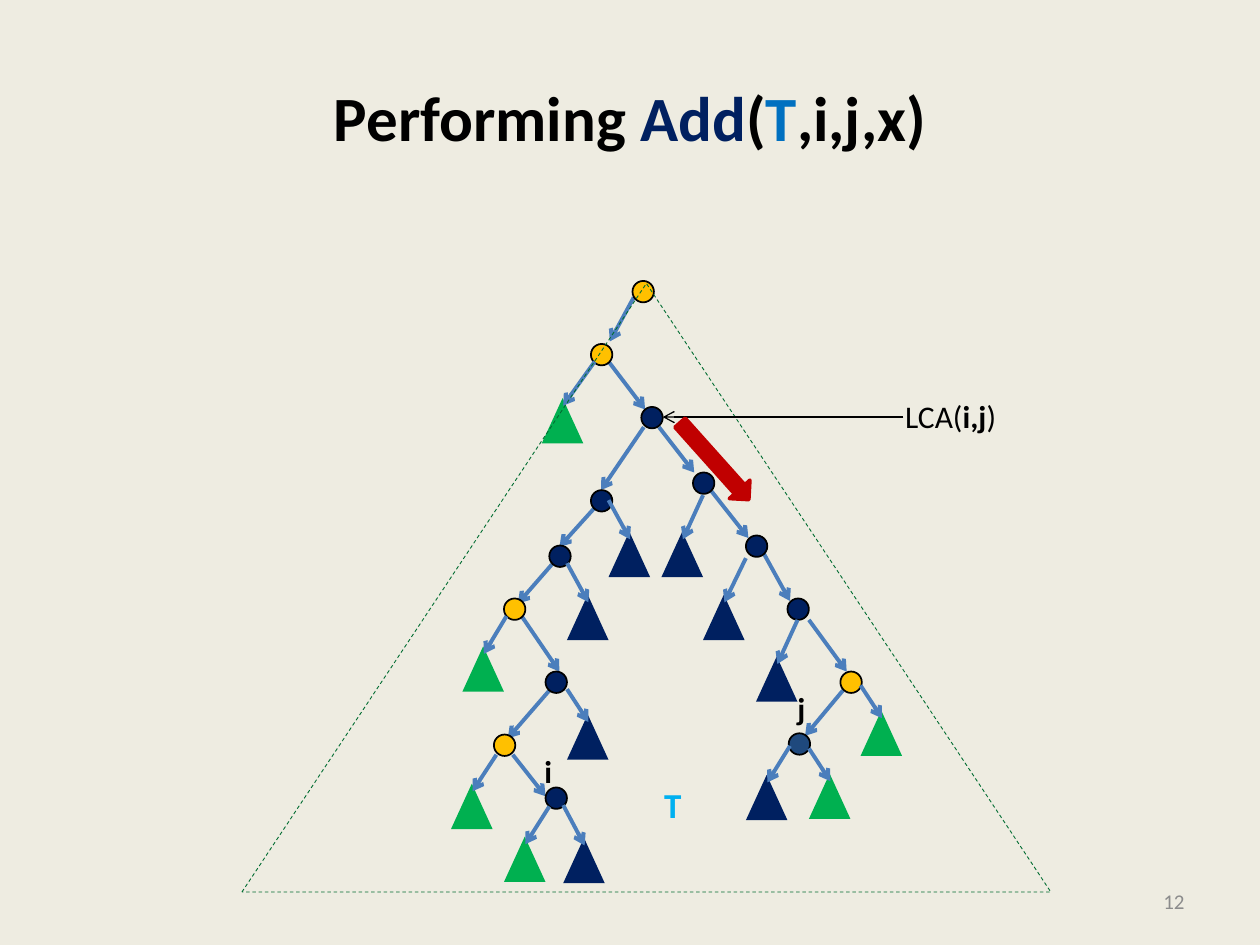
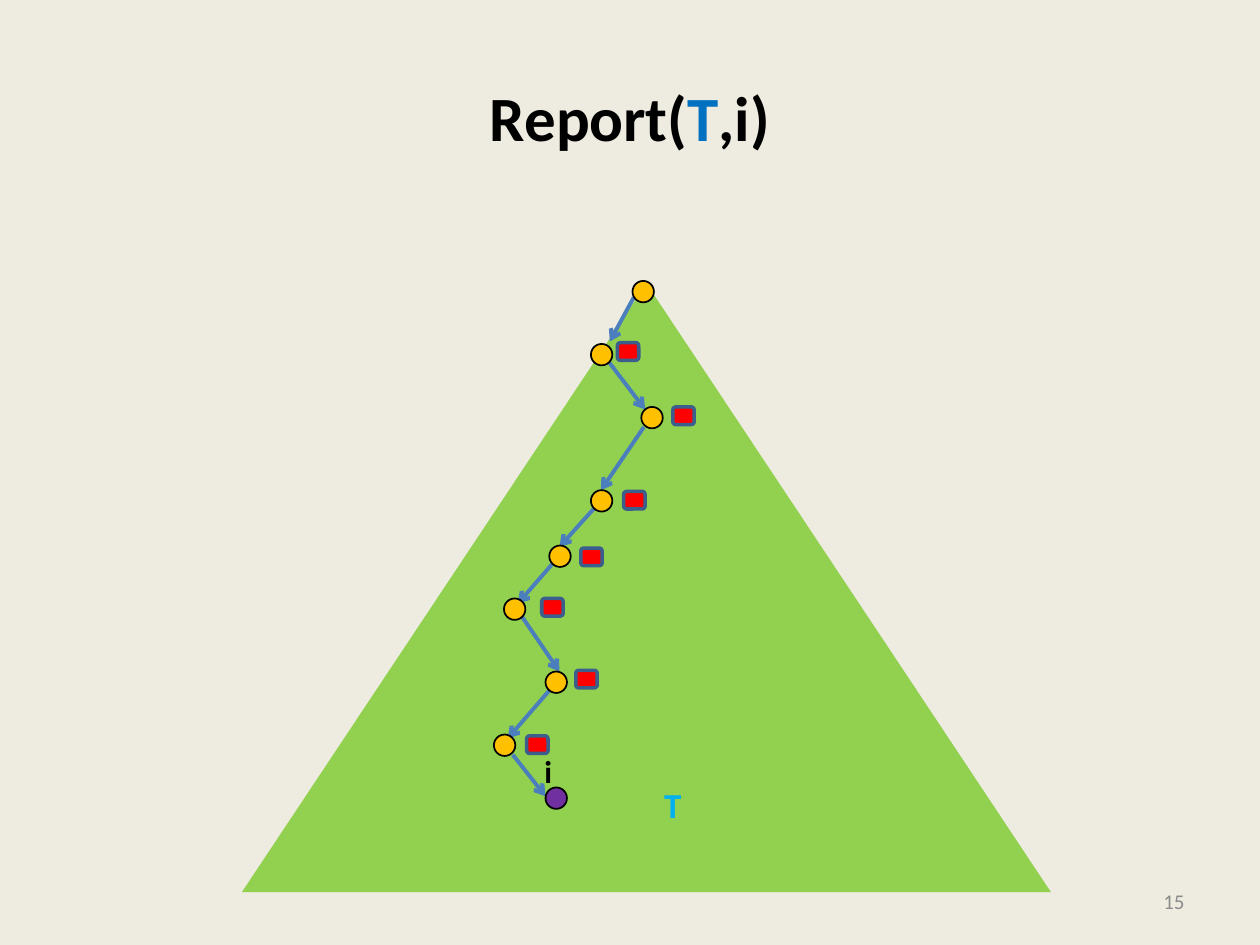
from dataclasses import dataclass

from lxml.etree import SubElement
from pptx import Presentation
from pptx.dml.color import RGBColor as Rgb
from pptx.enum.dml import MSO_LINE as Dash
from pptx.enum.shapes import MSO_CONNECTOR as Connector, MSO_SHAPE as Shape
from pptx.enum.text import MSO_ANCHOR as Anchor, PP_ALIGN as Align
from pptx.oxml.ns import qn
from pptx.util import Pt

PX = 9144


@dataclass(frozen=True)
class Theme:
    font: str = "Calibri"
    paper: str = "EEECE1"
    black: str = "000000"
    gray: str = "8C8C8C"
    navy: str = "002060"
    blue: str = "0070C0"
    sky: str = "00B0F0"
    slate: str = "1F497D"
    edge: str = "4B7EBC"
    gold: str = "FFC000"
    green: str = "00B050"
    lime: str = "92D050"
    pine: str = "006C31"
    purple: str = "7030A0"
    crimson: str = "C00000"
    red: str = "FF0000"
    steel: str = "3A5F8C"
    title_size: int = 36
    tree_size: int = 20
    label_size: int = 18
    number_size: int = 12


THEME = Theme()
NODE = 17
SUBTREE = (33, 36)
MARKER = (17, 14)
TREE_OUTLINE = (192, 225, 642, 483)

SPINE_NODES = [
    (502, 223), (469, 273), (509, 323), (469, 389), (436, 433),
    (400, 475), (433, 533), (392, 583), (433, 625),
]
SPINE_EDGES = [
    (503, 236, 484, 271), (483, 287, 512, 325), (511, 339, 477, 389),
    (472, 403, 444, 434), (438, 448, 411, 479), (414, 489, 444, 533),
    (436, 548, 403, 586), (407, 599, 433, 632),
]
RIGHT_NODES = [(550, 375), (592, 425), (625, 475), (667, 533), (626, 582)]
RIGHT_EDGES = [
    (523, 339, 551, 375), (564, 389, 594, 427), (606, 439, 627, 477),
    (642, 492, 672, 533), (669, 548, 639, 584),
]
NAVY_SUBTREES = [
    (525, 422, 558, 393), (558, 472, 592, 443), (600, 521, 633, 492),
    (450, 472, 450, 447), (450, 567, 450, 547), (447, 665, 447, 639),
    (592, 615, 627, 592), (483, 422, 483, 397),
]
GREEN_SUBTREES = [
    (430, 316, 472, 287), (367, 513, 402, 489), (400, 664, 436, 640),
    (683, 564, 683, 544), (642, 614, 642, 594), (358, 622, 394, 599),
]
MARKERS = [
    (490, 272), (534, 323), (495, 390), (461, 435), (430, 475),
    (457, 532), (418, 584),
]


def add_span(para, text, *, size, color, bold=False):
    span = para.add_run()
    span.text = text
    font = span.font
    font.name = THEME.font
    font.size = Pt(size)
    font.bold = bold
    font.color.rgb = Rgb.from_string(color)


class Canvas:
    def __init__(self, deck, theme):
        self.deck = deck
        self.theme = theme
        self.page = None

    def start_page(self, title, number):
        self.page = self.deck.slides.add_slide(self.deck.slide_layouts[6])
        fill = self.page.background.fill
        fill.solid()
        fill.fore_color.rgb = Rgb.from_string(self.theme.paper)
        spans = [(text, color, True) for text, color in title]
        self.text((50, 30, 900, 125), spans, self.theme.title_size,
                  anchor=Anchor.MIDDLE, wrap=True)
        self.text((717, 695, 233, 40), [(number, self.theme.gray, False)],
                  self.theme.number_size, align=Align.RIGHT,
                  anchor=Anchor.MIDDLE, wrap=True)

    def text(self, area, spans, size, align=Align.CENTER, anchor=Anchor.TOP, wrap=False):
        box = self.page.shapes.add_textbox(*(value * PX for value in area))
        frame = box.text_frame
        frame.word_wrap = wrap
        frame.vertical_anchor = anchor
        para = frame.paragraphs[0]
        para.alignment = align
        for text, color, bold in spans:
            add_span(para, text, size=size, color=color, bold=bold)

    def label(self, left, top, text):
        self.text((left, top, 32, 40), [(text, self.theme.black, True)],
                  self.theme.label_size)

    def shape(self, kind, area, fill=None, line=None, width=1, dash=None, rotation=0):
        shape = self.page.shapes.add_shape(kind, *(value * PX for value in area))
        shape.shadow.inherit = False
        shape.rotation = rotation
        if fill:
            shape.fill.solid()
            shape.fill.fore_color.rgb = Rgb.from_string(fill)
        else:
            shape.fill.background()
        if line:
            shape.line.color.rgb = Rgb.from_string(line)
            shape.line.width = Pt(width)
            shape.line.dash_style = dash
        else:
            shape.line.fill.background()

    def arrow(self, ends, color, width):
        arrow = self.page.shapes.add_connector(
            Connector.STRAIGHT, *(value * PX for value in ends))
        arrow.line.color.rgb = Rgb.from_string(color)
        arrow.line.width = Pt(width)
        properties = arrow.element.spPr
        SubElement(properties.find(qn("a:ln")), qn("a:tailEnd"), type="arrow")
        SubElement(properties, qn("a:effectLst"))

    def edge(self, ends):
        self.arrow(ends, self.theme.edge, 2.25)

    def nodes(self, places, colors):
        for (left, top), color in zip(places, colors):
            self.shape(Shape.OVAL, (left, top, NODE, NODE), color, self.theme.black)

    def subtree(self, left, top, start_x, start_y, color):
        self.shape(Shape.ISOSCELES_TRIANGLE, (left, top, *SUBTREE), color)
        self.edge((start_x, start_y, left + 17, top + 6))

    def tree_name(self):
        self.text((517, 617, 34, 44), [("T", self.theme.sky, True)],
                  self.theme.tree_size)


def build_add_page(canvas):
    theme = canvas.theme
    gold, navy = theme.gold, theme.navy
    canvas.start_page([("Performing ", theme.black), ("Add", navy), ("(", theme.black),
                       ("T", theme.blue), (",i,j,x)", theme.black)], "12")
    canvas.tree_name()
    for ends in SPINE_EDGES + RIGHT_EDGES:
        canvas.edge(ends)
    canvas.nodes(SPINE_NODES, [gold, gold, navy, navy, navy, gold, navy, gold, navy])
    canvas.nodes(RIGHT_NODES, [navy, navy, navy, gold, theme.slate])
    for places, color in ((NAVY_SUBTREES, navy), (GREEN_SUBTREES, theme.green)):
        for place in places:
            canvas.subtree(*place, color)
    canvas.label(419, 592, "i")
    canvas.label(620, 542, "j")
    canvas.shape(Shape.ISOSCELES_TRIANGLE, TREE_OUTLINE, line=theme.pine,
                 width=0.5, dash=Dash.DASH)
    canvas.arrow((717, 331, 526, 331), theme.black, 0.75)
    canvas.text((708, 310, 93, 40), [("LCA(", theme.black, False),
                ("i,j", theme.black, True), (")", theme.black, False)],
                theme.label_size)
    canvas.shape(Shape.STRIPED_RIGHT_ARROW, (526, 355, 82, 22), theme.crimson,
                 theme.crimson, 2, rotation=48.2)


def build_report_page(canvas):
    theme = canvas.theme
    canvas.start_page([("Report(", theme.black), ("T", theme.blue),
                       (",i)", theme.black)], "15")
    canvas.shape(Shape.ISOSCELES_TRIANGLE, TREE_OUTLINE, theme.lime)
    canvas.label(419, 592, "i")
    canvas.tree_name()
    for ends in SPINE_EDGES:
        canvas.edge(ends)
    canvas.nodes(SPINE_NODES, [theme.gold] * 8 + [theme.purple])
    for place in MARKERS:
        canvas.shape(Shape.ROUNDED_RECTANGLE, (*place, *MARKER), theme.red,
                     theme.steel, 2)


def main():
    deck = Presentation()
    deck.slide_width = 1000 * PX
    deck.slide_height = 750 * PX
    canvas = Canvas(deck, THEME)
    build_add_page(canvas)
    build_report_page(canvas)
    deck.save("out.pptx")


if __name__ == "__main__":
    main()
